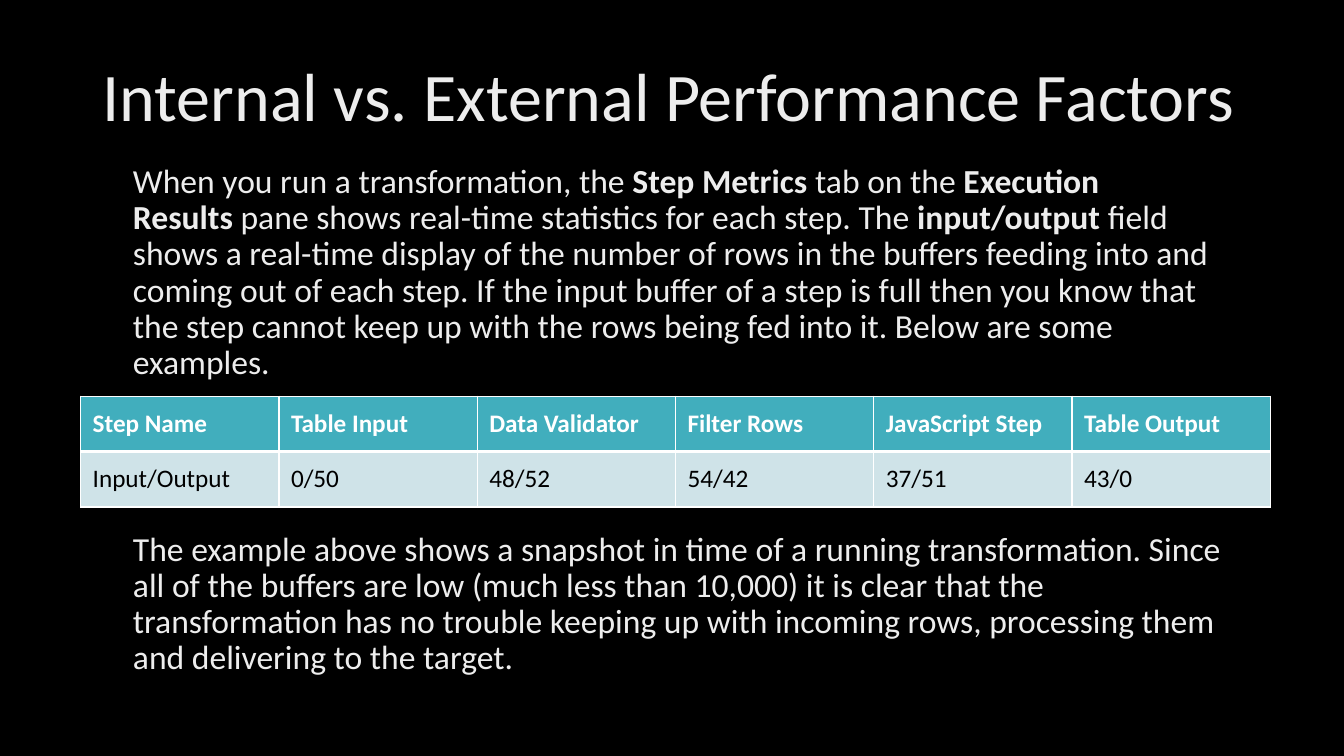
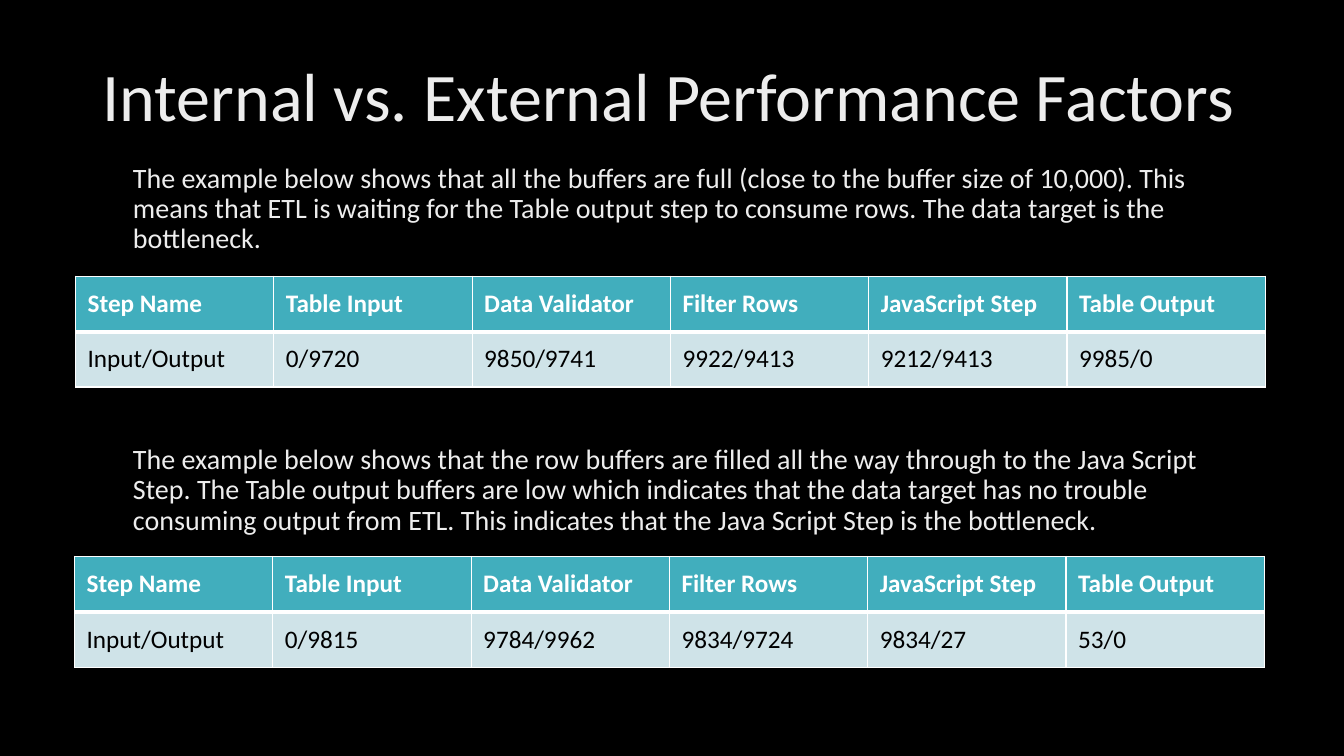
from lxml import etree
from pptx import Presentation
from pptx.dml.color import RGBColor
from pptx.enum.text import MSO_ANCHOR
from pptx.oxml.ns import qn
from pptx.util import Inches, Pt

MIDDLE = MSO_ANCHOR.MIDDLE
TOP = MSO_ANCHOR.TOP
NBSP = chr(160)

COLORS = {
    "background": "000000",
    "text": "EDEDED",
    "header": "41AEBD",
    "row": "CFE3E8",
    "header_text": "FFFFFF",
    "row_text": "000000",
    "border": "FFFFFF",
}
TITLE = "Internal vs. External Performance Factors"
STEPS = ["Step Name", "Table Input", "Data Validator", "Filter Rows",
         "JavaScript Step", "Table Output"]


class Deck:
    font = "Calibri"

    def __init__(self):
        self.prs = Presentation()
        self.prs.slide_width = Inches(13.33)
        self.prs.slide_height = Inches(7.5)
        self.s = None

    def color(self, name):
        return RGBColor.from_string(COLORS[name])

    def slide(self, title):
        self.s = self.prs.slides.add_slide(self.prs.slide_layouts[6])
        fill = self.s.background.fill
        fill.solid()
        fill.fore_color.rgb = self.color("background")
        self.text(title, 0.92, 0.4, 11.5, 1.18, 48.6, MIDDLE)

    def style(self, r, size, color, bold=False):
        r.font.name = self.font
        r.font.size = Pt(size)
        r.font.bold = bold
        r.font.color.rgb = self.color(color)

    def text(self, text, left, top, width, height, size, anchor=TOP):
        sp = self.s.shapes.add_textbox(
            Inches(left), Inches(top), Inches(width), Inches(height))
        tf = sp.text_frame
        tf.word_wrap = True
        tf.vertical_anchor = anchor
        p = tf.paragraphs[0]
        p.line_spacing = 0.9
        for i, part in enumerate(text.split("**")):
            r = p.add_run()
            r.text = part
            self.style(r, size, "text", i % 2 == 1)

    def body(self, text, top, height, size):
        self.text(text, 1.22, top, 11.19, height, size)

    def border(self, cell, side, width):
        ln = etree.SubElement(cell._tc.get_or_add_tcPr(), qn(f"a:ln{side}"),
                              w=str(Pt(width)))
        fill = etree.SubElement(ln, qn("a:solidFill"))
        etree.SubElement(fill, qn("a:srgbClr"), val=COLORS["border"])

    def cell(self, cell, text, kind):
        is_header = kind == "header"
        cell.text = text
        cell.vertical_anchor = MIDDLE
        cell.margin_left = cell.margin_right = Inches(0.12)
        cell.margin_top = cell.margin_bottom = Inches(0.12)
        self.style(cell.text_frame.paragraphs[0].runs[0], 18,
                   f"{kind}_text", is_header)
        widths = {"L": 1, "R": 1, "T": 1 if is_header else 3,
                  "B": 3 if is_header else 1}
        for side, width in widths.items():
            self.border(cell, side, width)
        cell.fill.solid()
        cell.fill.fore_color.rgb = self.color(kind)

    def table(self, values, left, top):
        rows = {"header": STEPS, "row": ["Input/Output"] + values}
        table = self.s.shapes.add_table(
            len(rows), len(STEPS), Inches(left), Inches(top),
            Inches(11.8), Inches(1.1)).table
        table.horz_banding = False
        for i, (kind, texts) in enumerate(rows.items()):
            for j, text in enumerate(texts):
                self.cell(table.cell(i, j), text, kind)


def main():
    deck = Deck()

    deck.slide(TITLE)
    deck.body(
        "When you run a transformation, the **Step Metrics** tab on the "
        f"**Execution Results{NBSP}**pane shows real-time statistics for each "
        "step. The **input/output** field shows a real-time display of the "
        "number of rows in the buffers feeding into and coming out of each "
        "step. If the input buffer of a step is full then you know that the "
        "step cannot keep up with the rows being fed into it. Below are some "
        "examples.", 1.58, 2.3, 24)
    deck.table(["0/50", "48/52", "54/42", "37/51", "43/0"], 0.8, 3.93)
    deck.body(
        "The example above shows a snapshot in time of a running "
        "transformation. Since all of the buffers are low (much less than "
        "10,000) it is clear that the transformation has no trouble keeping "
        "up with incoming rows, processing them and delivering to the target.",
        5.23, 1.6, 24)

    deck.slide(TITLE)
    deck.body(
        "The example below shows that all the buffers are full (close to the "
        "buffer size of 10,000). This means that ETL is waiting for the Table "
        "output step to consume rows. The data target is the bottleneck.",
        1.58, 1.05, 20)
    deck.table(["0/9720", "9850/9741", "9922/9413", "9212/9413", "9985/0"],
               0.75, 2.74)
    deck.body(
        "The example below shows that the row buffers are filled all the way "
        "through to the Java Script Step. The Table output buffers are low "
        "which indicates that the data target has no trouble consuming output "
        "from ETL. This indicates that the Java Script Step is the bottleneck.",
        4.37, 1.05, 20)
    deck.table(["0/9815", "9784/9962", "9834/9724", "9834/27", "53/0"],
               0.74, 5.52)

    deck.prs.save("out.pptx")


if __name__ == "__main__":
    main()
